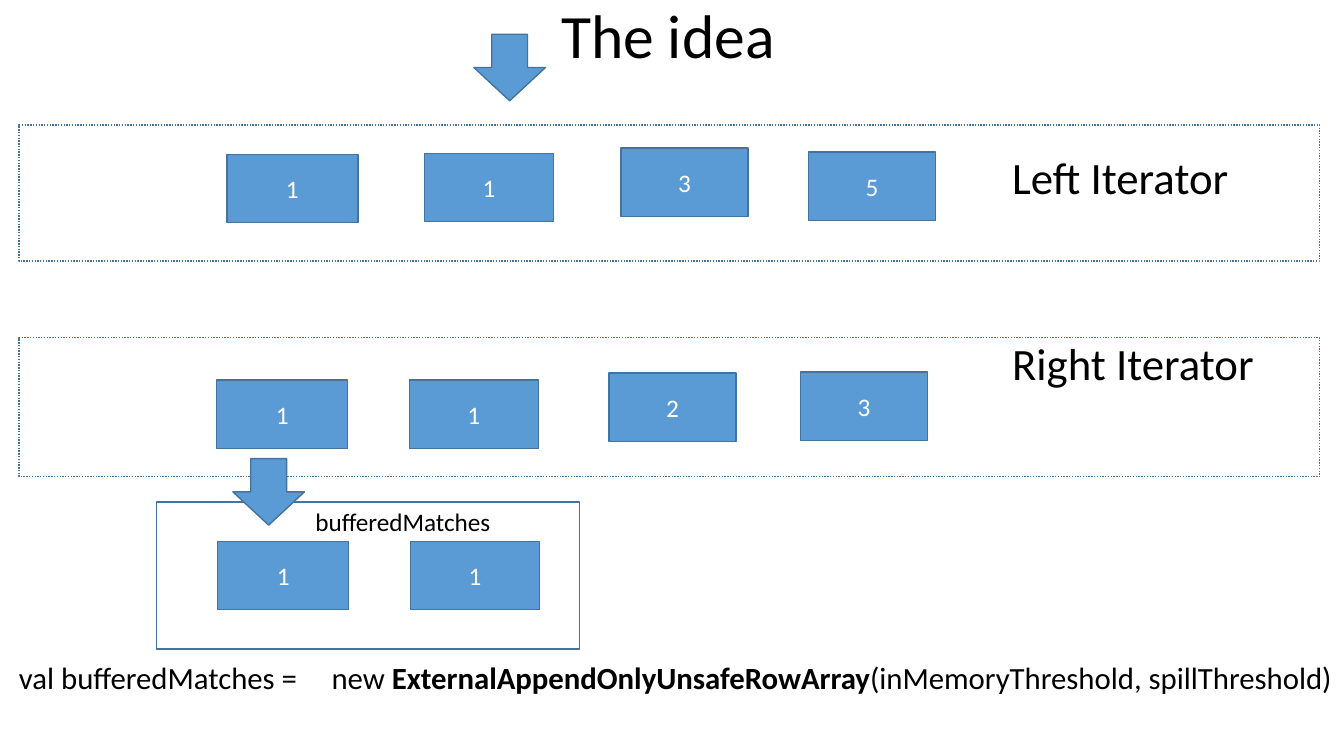
from lxml.etree import SubElement
from pptx import Presentation
from pptx.dml.color import RGBColor
from pptx.enum.dml import MSO_LINE
from pptx.enum.shapes import MSO_SHAPE
from pptx.enum.text import MSO_ANCHOR, PP_ALIGN
from pptx.oxml.ns import qn
from pptx.util import Inches, Pt

# Content: each row of values with the left and top of its cells
ROWS = [
    ("1135", [2.25, 4.21, 6.16, 8.02], [1.53, 1.52, 1.47, 1.51]),
    ("1123", [2.15, 4.06, 6.04, 7.94], [3.77, 3.77, 3.70, 3.69]),
    ("11", [2.16, 4.07], [5.37, 5.37]),
]
CELL_WIDTHS = [1.3, 1.28, 1.26, 1.26]
CELL_HEIGHT = 0.68
FRAMES = [
    ((1.55, 4.98, 4.2, 1.46), MSO_LINE.SOLID),
    ((0.19, 1.24, 12.9, 1.35), MSO_LINE.ROUND_DOT),
    ((0.19, 3.35, 12.9, 1.38), MSO_LINE.ROUND_DOT),
]
ARROWS = [(4.7, 0.34), (2.31, 4.55)]
ARROW_SIZE = (0.71, 0.66)
TITLE = ("The idea", (-0.08, 0, 13.41, 1.91), 44)
LABELS = [
    ("Left Iterator", (9.94, 1.44, 2.99, 0.64), 32),
    ("Right Iterator", (9.94, 3.28, 2.99, 0.64), 32),
    ("bufferedMatches", (3.03, 4.97, 2.23, 0.4), 18),
]
CODE = [
    ("val bufferedMatches =\tnew ", False),
    ("ExternalAppendOnlyUnsafeRowArray", True),
    ("(inMemoryThreshold, spillThreshold)", False),
]
CODE_BOX, CODE_SIZE, CODE_TAB = (0.09, 6.49, 13.33, 0.47), 22, 3.1
BLUE, EDGE, WHITE, BLACK = "5B9BD5", "43739E", "FFFFFF", "000000"

deck = Presentation()
deck.slide_width, deck.slide_height = Inches(13.33), Inches(7.5)
slide = deck.slides.add_slide(deck.slide_layouts[6])


def paint(color_format, color):
    color_format.rgb = RGBColor.from_string(color)


def write(paragraph, text, size, color=BLACK, bold=False):
    run = paragraph.add_run()
    run.text = text
    for name, value in {"name": "Calibri", "size": Pt(size), "bold": bold}.items():
        setattr(run.font, name, value)
    paint(run.font.color, color)


def draw(kind, box, fill=None, dash=None):
    shape = slide.shapes.add_shape(kind, *map(Inches, box))
    shape.shadow.inherit = False
    if fill:
        shape.fill.solid()
        paint(shape.fill.fore_color, fill)
    else:
        shape.fill.background()
    paint(shape.line.color, EDGE)
    shape.line.width = Pt(1)
    if dash:
        shape.line.dash_style = dash
    return shape


def text_line(box):
    frame = slide.shapes.add_textbox(*map(Inches, box)).text_frame
    frame.word_wrap = True
    return frame.paragraphs[0]


# Frames around the iterators and the buffer
for box, dash in FRAMES:
    draw(MSO_SHAPE.RECTANGLE, box, dash=dash)

# Value cells
for values, lefts, tops in ROWS:
    for value, left, top, width in zip(values, lefts, tops, CELL_WIDTHS):
        cell = draw(MSO_SHAPE.RECTANGLE, (left, top, width, CELL_HEIGHT), BLUE)
        cell.text_frame.vertical_anchor = MSO_ANCHOR.MIDDLE
        line = cell.text_frame.paragraphs[0]
        line.alignment = PP_ALIGN.CENTER
        write(line, value, 18, WHITE)

# Title and labels
text, box, size = TITLE
heading = text_line(box)
heading.alignment = PP_ALIGN.CENTER
heading.line_spacing = 0.9
write(heading, text, size)
for text, box, size in LABELS:
    write(text_line(box), text, size)

# Code line, with a tab stop before the constructor call
code = text_line(CODE_BOX)
for text, bold in CODE:
    write(code, text, CODE_SIZE, bold=bold)
tab_list = SubElement(code._p.get_or_add_pPr(), qn("a:tabLst"))
SubElement(tab_list, qn("a:tab"), pos=str(Inches(CODE_TAB)), algn="l")

# Arrows marking the current position
for corner in ARROWS:
    draw(MSO_SHAPE.DOWN_ARROW, corner + ARROW_SIZE, BLUE)

deck.save("out.pptx")
